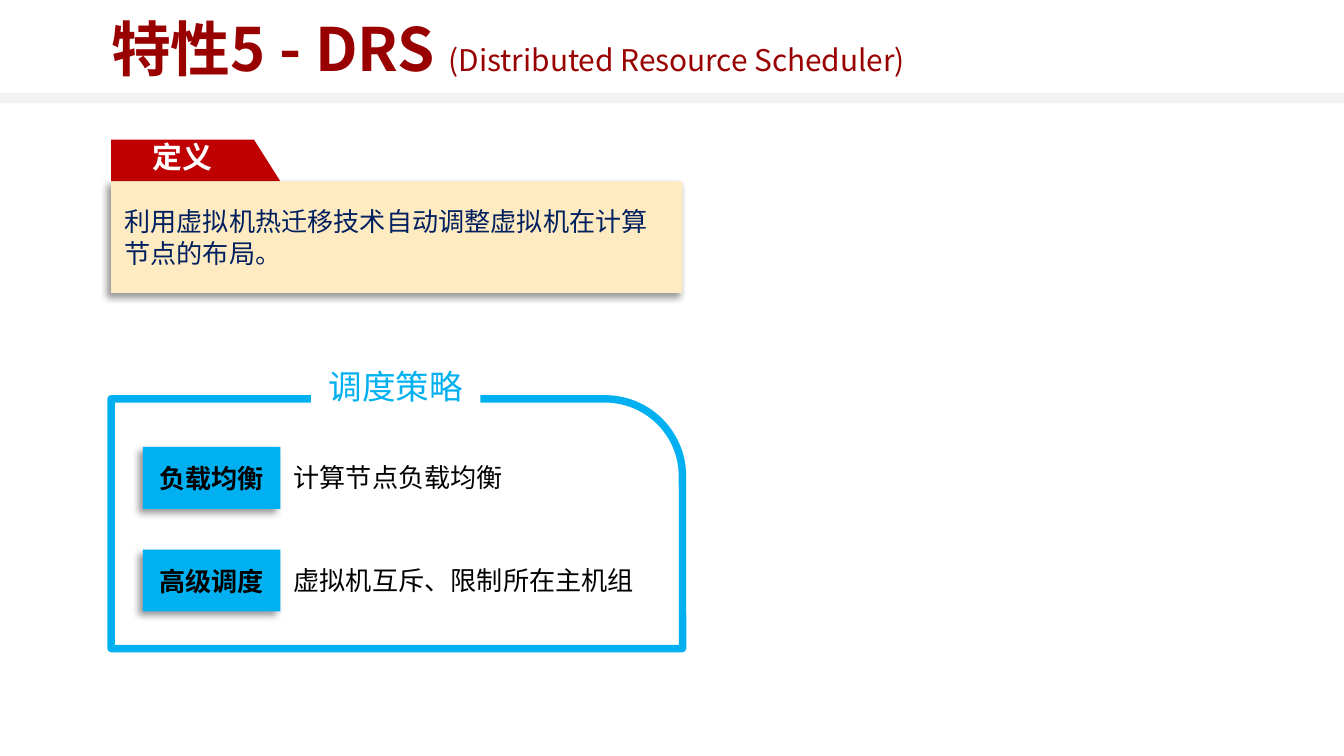
from collections import namedtuple

from lxml.etree import SubElement
from pptx import Presentation
from pptx.dml.color import RGBColor
from pptx.enum.shapes import MSO_SHAPE
from pptx.enum.text import MSO_ANCHOR, PP_ALIGN
from pptx.oxml.ns import qn
from pptx.util import Cm, Pt

WHITE = RGBColor(0xFF, 0xFF, 0xFF)
BLACK = RGBColor(0x00, 0x00, 0x00)
GREY = RGBColor(0xF2, 0xF2, 0xF2)
DARK_RED = RGBColor(0x99, 0x00, 0x00)
RED = RGBColor(0xC0, 0x00, 0x00)
CREAM = RGBColor(0xFF, 0xEB, 0xC2)
NAVY = RGBColor(0x00, 0x20, 0x60)
BLUE = RGBColor(0x00, 0xB0, 0xF0)

CJK_FONT = "Noto Sans CJK SC"

# Left, top, width and height in centimetres
Box = namedtuple("Box", "left top width height")


def inside(box, left, top, width, height):
    return Box(box.left + left, box.top + top, width, height)


def lengths(box):
    return [Cm(value) for value in box]


def style_span(span, size, color, font=CJK_FONT, bold=False):
    span.font.size = Pt(size)
    span.font.bold = bold
    span.font.name = font
    span.font.color.rgb = color
    east_asian = SubElement(span.font._element, qn("a:ea"))
    east_asian.set("typeface", CJK_FONT)


def write(shape, text, size, color, font=CJK_FONT, bold=False,
          align=PP_ALIGN.LEFT, anchor=MSO_ANCHOR.MIDDLE):
    frame = shape.text_frame
    frame.text = text
    frame.word_wrap = True
    frame.vertical_anchor = anchor
    para = frame.paragraphs[0]
    para.alignment = align
    style_span(para.runs[0], size, color, font, bold)


def add_shape(page, box, fill=None, kind=MSO_SHAPE.RECTANGLE):
    shape = page.shapes.add_shape(kind, *lengths(box))
    shape.shadow.inherit = False
    shape.line.fill.background()
    if fill is None:
        shape.fill.background()
    else:
        shape.fill.solid()
        shape.fill.fore_color.rgb = fill
    return shape


def add_shadow(shape):
    effects = shape._element.spPr.find(qn("a:effectLst"))
    shadow = SubElement(effects, qn("a:outerShdw"), blurRad=str(Pt(4)),
                        dist=str(Pt(3)), dir=str(135 * 60000),
                        algn="tr", rotWithShape="0")
    color = SubElement(shadow, qn("a:srgbClr"), val=str(BLACK))
    SubElement(color, qn("a:alpha"), val="40000")


def add_title(page, box):
    # Rule under the title, across the page
    add_shape(page, Box(0, box.top + 1.75, 25.4, 0.2), GREY)

    # Title with a smaller explanation
    title = page.shapes.add_textbox(*lengths(box))
    frame = title.text_frame
    frame.word_wrap = True
    frame.vertical_anchor = MSO_ANCHOR.MIDDLE
    frame.margin_left = 0
    frame.margin_top = frame.margin_bottom = Cm(0.1)
    para = frame.paragraphs[0]
    for text, size, bold in [("特性5 - DRS ", 32, True),
                             ("(Distributed Resource Scheduler)", 16, False)]:
        span = para.add_run()
        span.text = text
        style_span(span, size, DARK_RED, bold=bold)


def add_definition(page, box):
    tab_width, tab_height = 2.7, 0.79

    # Tab with a slanted end
    tab = add_shape(page, inside(box, 0, 0, tab_width, tab_height), RED)
    write(tab, "定义", 16, WHITE, "Arial", True, PP_ALIGN.CENTER, MSO_ANCHOR.BOTTOM)
    add_shape(page, inside(box, tab_width, 0, 0.5, tab_height), RED,
              MSO_SHAPE.RIGHT_TRIANGLE)

    # Definition panel
    panel = add_shape(page, inside(box, 0, tab_height, box.width,
                                   box.height - tab_height), CREAM)
    add_shadow(panel)
    write(panel, "利用虚拟机热迁移技术自动调整虚拟机在计算节点的布局。", 14, NAVY)


def add_policies(page, box):
    # Frame with one rounded corner
    border = add_shape(page, box, kind=MSO_SHAPE.ROUND_1_RECTANGLE)
    border.adjustments[0] = 0.31
    border.line.color.rgb = BLUE
    border.line.width = Pt(4)

    # One tag and description per policy
    policies = [("负载均衡", "计算节点负载均衡"),
                ("高级调度", "虚拟机互斥、限制所在主机组")]
    for index, (name, description) in enumerate(policies):
        top = 0.91 + index * 1.94
        tag = add_shape(page, inside(box, 0.6, top, 2.6, 1.17), BLUE)
        add_shadow(tag)
        write(tag, name, 14, BLACK, bold=True, align=PP_ALIGN.CENTER)
        label = page.shapes.add_textbox(
            *lengths(inside(box, 3.2, top + 0.15, 7.6, 0.87)))
        write(label, description, 14, BLACK, "Calibri", anchor=MSO_ANCHOR.TOP)

    # Heading that interrupts the top border
    heading = add_shape(page, inside(box, 3.78, -0.86, 3.2, 1.22), WHITE)
    write(heading, "调度策略", 18, BLUE, "Arial", align=PP_ALIGN.CENTER)


def main():
    deck = Presentation()
    deck.slide_width, deck.slide_height = Cm(25.4), Cm(14.29)
    page = deck.slides.add_slide(deck.slide_layouts[6])
    add_title(page, Box(2.1, 0, 21.2, 1.8))
    add_definition(page, Box(2.1, 2.64, 10.8, 2.9))
    add_policies(page, Box(2.1, 7.54, 10.8, 4.72))
    deck.save("out.pptx")


if __name__ == "__main__":
    main()
